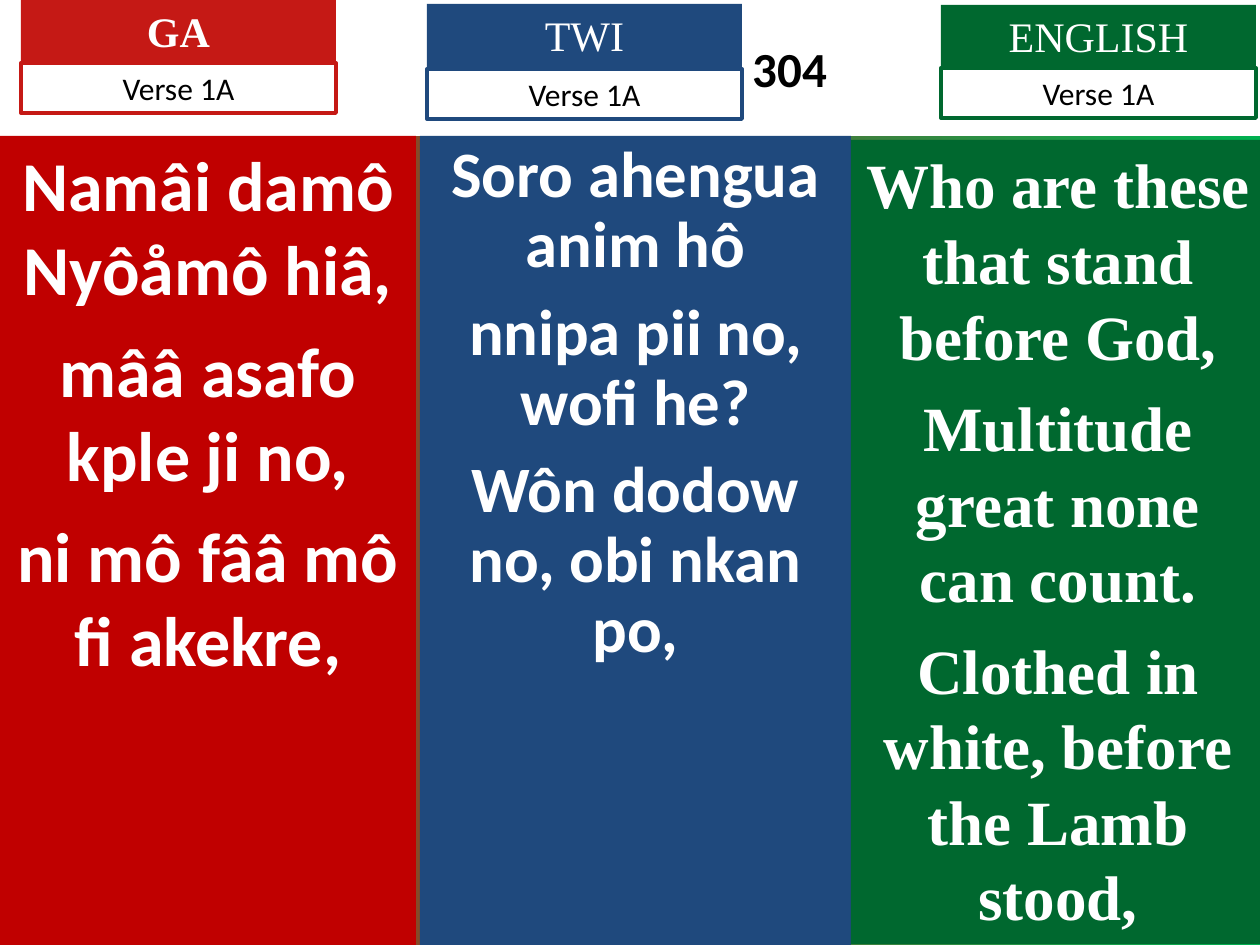
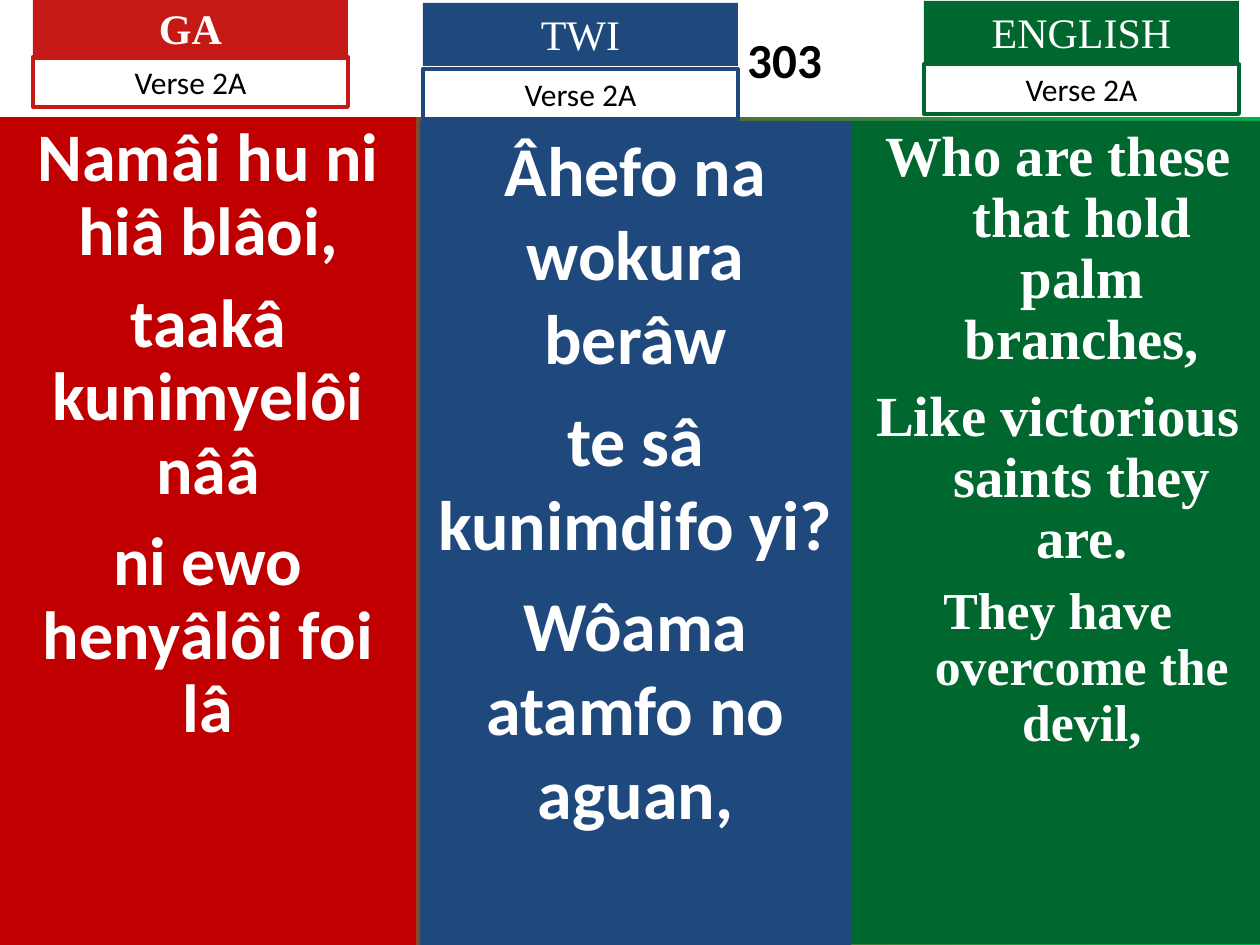
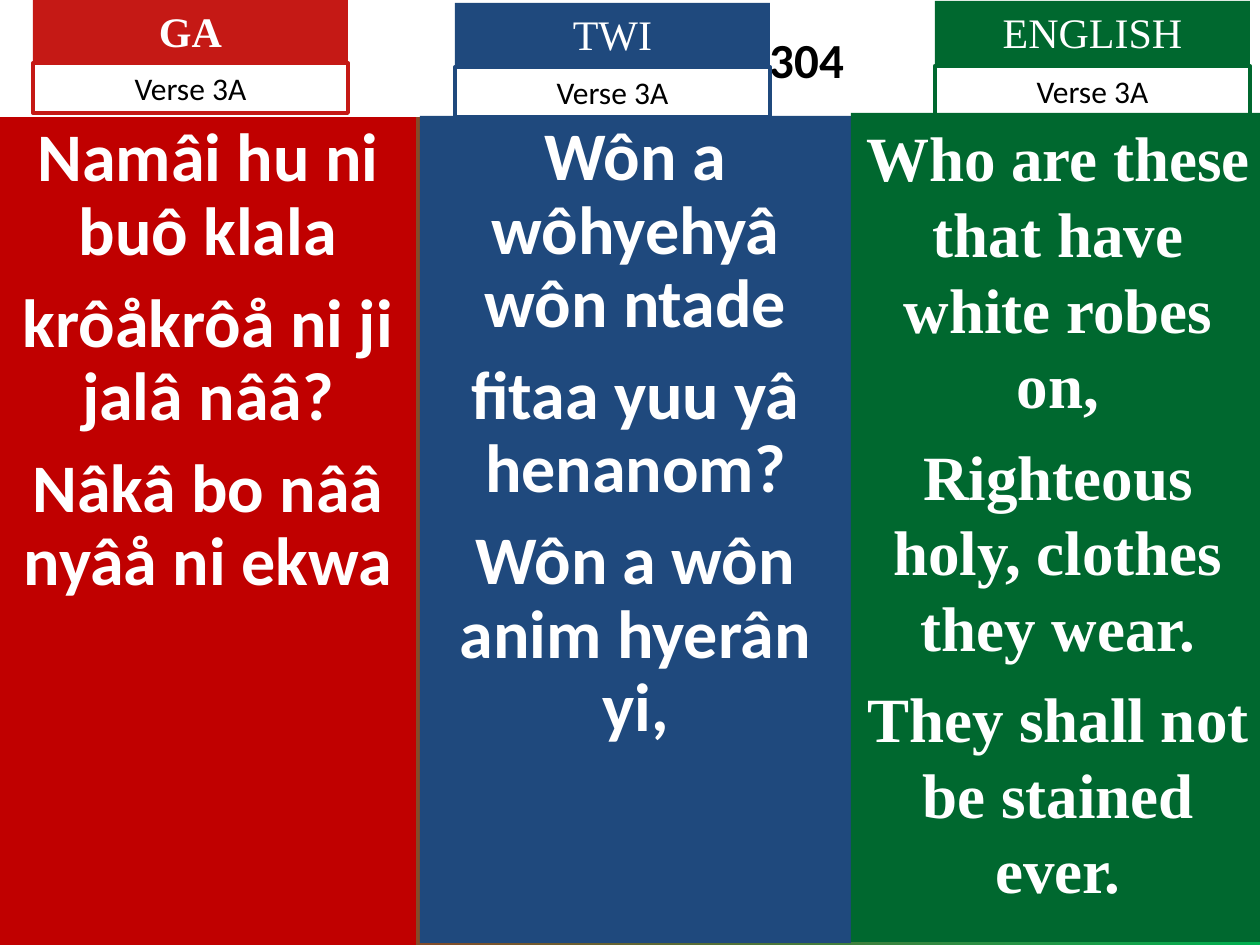
from dataclasses import dataclass

import pptx
import pptx.util
from pptx.dml.color import RGBColor
from pptx.enum.shapes import MSO_SHAPE
from pptx.enum.text import MSO_ANCHOR, MSO_AUTO_SIZE, PP_ALIGN

PX_PER_INCH = 126
SLIDE_W, SLIDE_H = 1260, 945
TAB_W, HEADER_H, LABEL_H = 315, 63, 50
INSET_X, INSET_Y = 13, 6


@dataclass(frozen=True)
class Theme:
    white: str = "FFFFFF"
    black: str = "000000"
    glow_start: str = "C51915"
    glow_end: str = "00B050"
    sans: str = "Calibri"
    serif: str = "Times New Roman"
    number_size: int = 28
    header_size: int = 24
    label_size: int = 18
    label_border: float = 2.25


@dataclass(frozen=True)
class Language:
    name: str
    left: int
    width: int
    panel: str
    accent: str
    font: str
    bold_header: bool = False


@dataclass(frozen=True)
class Column:
    """One language's part of a verse; all places are in px."""
    tab_left: int
    header_top: int
    label_top: int
    panel_top: int
    panel_bottom: int
    lines: tuple
    format: dict


THEME = Theme()
LANGUAGES = (
    Language("GA", 0, 416, "C00000", "C51915", THEME.sans, bold_header=True),
    Language("TWI", 420, 431, "1F497D", "1F497D", THEME.sans),
    Language("ENGLISH", 851, 414, "00682F", "00682F", THEME.serif),
)

LARGE = dict(size=40, space_before=10)
SNUG = dict(size=38.9, space_before=10.5, line_spacing=0.9)
COMPACT = dict(size=37, space_before=10, line_spacing=0.9)
ENGLISH = dict(size=36, space_before=9)
ENGLISH_HANGING = dict(size=32.4, space_before=8.8, line_spacing=0.9,
                       hanging=48, last_size=29.6, last_space_before=8)

# Verse name, hymn number, centre of the number, title height, columns
VERSES = (
    ("Verse 1A", "304", 790, 136, (
        Column(21, 0, 63, 136, 945,
               ("Namâi damô Nyôåmô hiâ,", "mââ asafo kple ji no,",
                "ni mô fââ mô fi akekre,"), LARGE),
        Column(427, 4, 69, 136, 945,
               ("Soro ahengua anim hô", "nnipa pii no, wofi he?",
                "Wôn dodow no, obi nkan po,"), COMPACT),
        Column(941, 5, 68, 140, 944,
               ("Who are these that stand before God,",
                "Multitude great none can count.",
                "Clothed in white, before the Lamb stood,"), ENGLISH),
    )),
    ("Verse 2A", "303", 785, 117, (
        Column(33, -3, 57, 117, 945,
               ("Namâi hu ni hiâ blâoi,", "taakâ kunimyelôi nââ",
                "ni ewo henyâlôi foi lâ"), SNUG),
        Column(423, 3, 69, 121, 945,
               ("Âhefo na wokura berâw", "te sâ kunimdifo yi?",
                "Wôama atamfo no aguan,"), LARGE),
        Column(924, 1, 64, 121, 944,
               ("Who are these that hold palm branches,",
                "Like victorious saints they are.",
                "They have overcome the devil,"), ENGLISH_HANGING),
    )),
    ("Verse 3A", "304", 807, 117, (
        Column(33, 0, 63, 117, 945,
               ("Namâi hu ni buô klala", "krôåkrôå ni ji jalâ nââ?",
                "Nâkâ bo nââ nyâå ni ekwa"), SNUG),
        Column(455, 3, 67, 116, 943,
               ("Wôn a wôhyehyâ wôn ntade", "fitaa yuu yâ henanom?",
                "Wôn a wôn anim hyerân yi,"), SNUG),
        Column(935, 1, 66, 113, 942,
               ("Who are these that have white robes on,",
                "Righteous holy, clothes they wear.",
                "They shall not be stained ever."), ENGLISH),
    )),
)


def px(length):
    return pptx.util.Emu(round(length * 914400 / PX_PER_INCH))


def rgb(color):
    return RGBColor.from_string(color)


def place(shape, left, top, width, height):
    shape.left, shape.top = px(left), px(top)
    shape.width, shape.height = px(width), px(height)


def write_text(shape, *lines, size, font, color, bold=False,
               anchor=MSO_ANCHOR.TOP, left_inset=INSET_X, right_inset=INSET_X,
               space_before=0, line_spacing=None, hanging=0,
               last_size=None, last_space_before=None):
    """Write centred lines; the last one may have its own size and spacing."""
    frame = shape.text_frame
    frame.word_wrap = True
    frame.auto_size = MSO_AUTO_SIZE.NONE
    frame.vertical_anchor = anchor
    frame.margin_left, frame.margin_right = px(left_inset), px(right_inset)
    frame.margin_top = frame.margin_bottom = px(INSET_Y)
    frame.text = "\n".join(lines)
    for index, paragraph in enumerate(frame.paragraphs):
        is_last = index == len(lines) - 1
        gap = (is_last and last_space_before) or space_before
        paragraph.alignment = PP_ALIGN.CENTER
        paragraph.space_before = pptx.util.Pt(gap if index else 0)
        if line_spacing:
            paragraph.line_spacing = line_spacing
        if hanging:
            properties = paragraph._p.get_or_add_pPr()
            properties.set("marL", str(px(hanging)))
            properties.set("indent", str(-px(hanging)))
        style = paragraph.runs[0].font
        style.size = pptx.util.Pt((is_last and last_size) or size)
        style.name, style.bold = font, bold
        style.color.rgb = rgb(color)


def add_box(slide, left, top, width, height, fill=None, border=None):
    box = slide.shapes.add_shape(MSO_SHAPE.RECTANGLE, 0, 0, 0, 0)
    place(box, left, top, width, height)
    box.shadow.inherit = False
    if fill:
        box.fill.solid()
        box.fill.fore_color.rgb = rgb(fill)
    else:
        box.fill.background()
    if border:
        box.line.color.rgb = rgb(border)
        box.line.width = pptx.util.Pt(THEME.label_border)
    else:
        box.line.fill.background()
    return box


def set_background(master):
    fill = master.background.fill
    fill.gradient()
    fill.gradient_angle = 0
    for stop, color, position in zip(
            fill.gradient_stops, (THEME.glow_start, THEME.glow_end), (0, 1)):
        stop.color.rgb = rgb(color)
        stop.position = position


def set_hymn_number(slide, number, center, height):
    title = slide.shapes.title
    place(title, 0, 0, SLIDE_W, height)
    title.fill.solid()
    title.fill.fore_color.rgb = rgb(THEME.white)
    write_text(title, number, size=THEME.number_size, font=THEME.sans,
               color=THEME.black, bold=True, anchor=MSO_ANCHOR.MIDDLE,
               left_inset=2 * center - SLIDE_W, right_inset=0)


def add_column(slide, language, column, verse_name):
    panel = add_box(slide, language.left, column.panel_top, language.width,
                    column.panel_bottom - column.panel_top, fill=language.panel)
    write_text(panel, *column.lines, font=language.font, color=THEME.white,
               bold=True, **column.format)
    header = add_box(slide, column.tab_left, column.header_top, TAB_W, HEADER_H,
                     fill=language.accent)
    write_text(header, language.name, size=THEME.header_size, font=THEME.serif,
               color=THEME.white, bold=language.bold_header)
    label = add_box(slide, column.tab_left, column.label_top, TAB_W, LABEL_H,
                    border=language.accent)
    write_text(label, verse_name, size=THEME.label_size, font=THEME.sans,
               color=THEME.black)


def main():
    deck = pptx.Presentation()
    deck.slide_width, deck.slide_height = px(SLIDE_W), px(SLIDE_H)
    set_background(deck.slide_master)
    title_only = deck.slide_layouts.get_by_name("Title Only")
    for verse_name, number, center, title_height, columns in VERSES:
        slide = deck.slides.add_slide(title_only)
        set_hymn_number(slide, number, center, title_height)
        for language, column in zip(LANGUAGES, columns):
            add_column(slide, language, column, verse_name)
    deck.save("out.pptx")


if __name__ == "__main__":
    main()
